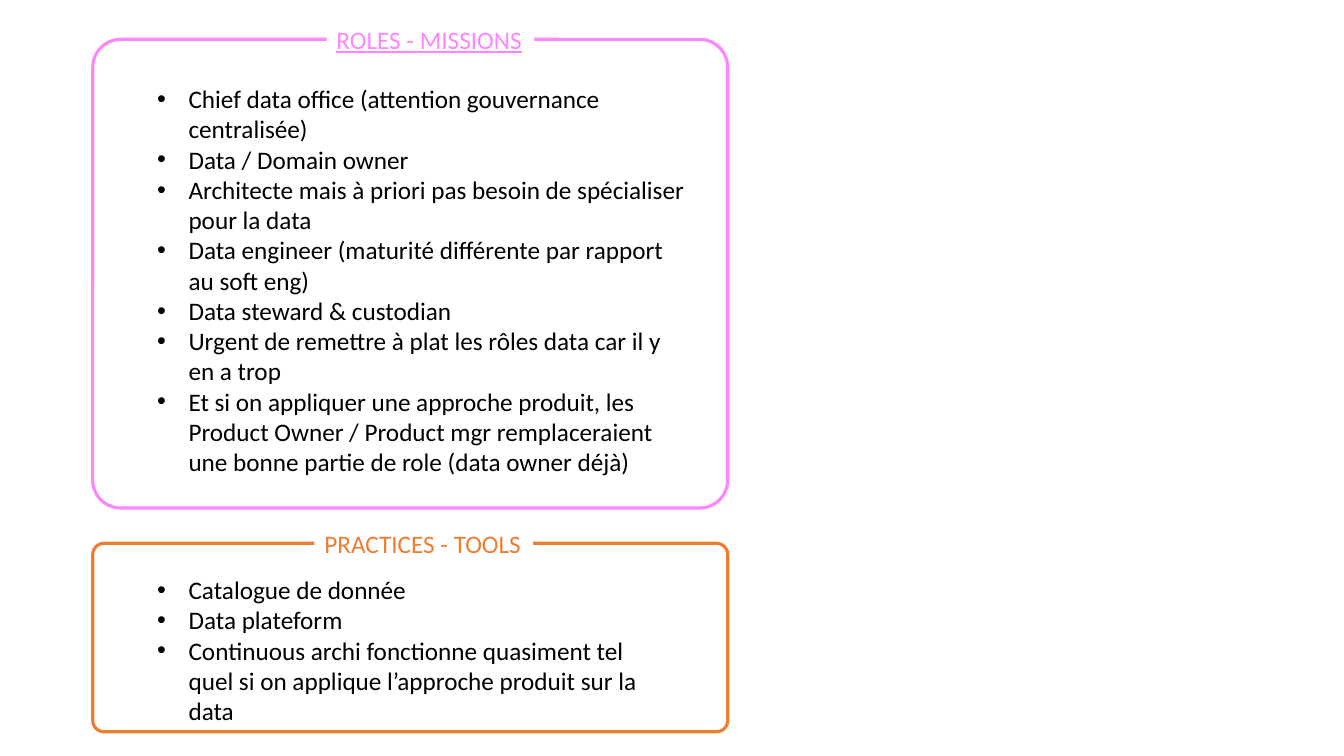
from dataclasses import dataclass
from typing import Any

import lxml.etree
import pptx
import pptx.dml.color
import pptx.enum.shapes
import pptx.enum.text
import pptx.oxml.ns
import pptx.util

Pt = pptx.util.Pt
Color = pptx.dml.color.RGBColor
Shapes = pptx.enum.shapes.MSO_SHAPE
Text = pptx.enum.text


@dataclass(frozen=True)
class Theme:
    font: str = "Calibri"
    size: float = 18
    line_width: float = 2.25
    text: str = "000000"
    paper: str = "FFFFFF"
    roles: str = "FF85FF"
    practices: str = "ED7D31"


@dataclass(frozen=True)
class Panel:
    title: str
    color: str
    underline: bool
    top: float
    height: float
    title_left: float
    title_width: float
    list_offset: float
    list_width: float
    list_height: float
    items: tuple[str, ...]


THEME = Theme()

# Shared geometry, in points
FRAME_LEFT, FRAME_WIDTH, CORNER = 66.24, 453.6, 0.06
TITLE_RISE, TITLE_HEIGHT = 14.4, 29.08
LIST_LEFT, BULLET_INDENT = 105.12, 22.5

PANELS = (
    Panel(
        "ROLES - MISSIONS", THEME.roles, True, 28.08, 334.8,
        233.28, 148.32, 28.08, 396, 312.48,
        (
            "Chief data office (attention gouvernance centralisée)",
            "Data / Domain owner",
            "Architecte mais à priori pas besoin de spécialiser pour la data",
            "Data engineer (maturité différente par rapport au soft eng)",
            "Data steward & custodian",
            "Urgent de remettre à plat les rôles data car il y en a trop",
            "Et si on appliquer une approche produit, les Product Owner / "
            "Product mgr remplaceraient une bonne partie de role "
            "(data owner déjà)",
        ),
    ),
    Panel(
        "PRACTICES - TOOLS", THEME.practices, False, 388.08, 134.64,
        224.64, 156.24, 18.72, 375.12, 116.64,
        (
            "Catalogue de donnée",
            "Data plateform",
            "Continuous archi fonctionne quasiment tel quel si on applique "
            "l’approche produit sur la data",
        ),
    ),
)


def apply_format(target: Any, values: dict[str, Any]) -> None:
    for name, value in values.items():
        setattr(target, name, value)


def write(para: Any, text: str, color: str, underline: bool = False) -> None:
    para.alignment = Text.PP_ALIGN.LEFT
    span = para.add_run()
    span.text = text
    values = {"name": THEME.font, "size": Pt(THEME.size)}
    if underline:
        values["underline"] = True
    apply_format(span.font, values)
    span.font.color.rgb = Color.from_string(color)


def add_bullet(para: Any) -> None:
    properties = para._p.get_or_add_pPr()
    properties.set("marL", str(Pt(BULLET_INDENT)))
    properties.set("indent", str(-Pt(BULLET_INDENT)))
    for tag, key, value in (("a:buFont", "typeface", "Arial"), ("a:buChar", "char", "•")):
        lxml.etree.SubElement(properties, pptx.oxml.ns.qn(tag)).set(key, value)


def draw_frame(page: Any, panel: Panel) -> None:
    frame = page.shapes.add_shape(
        Shapes.ROUNDED_RECTANGLE,
        Pt(FRAME_LEFT), Pt(panel.top), Pt(FRAME_WIDTH), Pt(panel.height),
    )
    frame.adjustments[0] = CORNER
    frame.shadow.inherit = False
    frame.fill.background()
    frame.line.color.rgb = Color.from_string(panel.color)
    frame.line.width = Pt(THEME.line_width)


def draw_title(page: Any, panel: Panel) -> None:
    box = page.shapes.add_shape(
        Shapes.RECTANGLE,
        Pt(panel.title_left), Pt(panel.top - TITLE_RISE),
        Pt(panel.title_width), Pt(TITLE_HEIGHT),
    )
    box.shadow.inherit = False
    box.fill.solid()
    box.fill.fore_color.rgb = Color.from_string(THEME.paper)
    box.line.fill.background()
    apply_format(box.text_frame, {
        "word_wrap": False,
        "auto_size": Text.MSO_AUTO_SIZE.SHAPE_TO_FIT_TEXT,
        "vertical_anchor": Text.MSO_ANCHOR.TOP,
    })
    write(box.text_frame.paragraphs[0], panel.title, panel.color, panel.underline)


def draw_list(page: Any, panel: Panel) -> None:
    box = page.shapes.add_textbox(
        Pt(LIST_LEFT), Pt(panel.top + panel.list_offset),
        Pt(panel.list_width), Pt(panel.list_height),
    )
    apply_format(box.text_frame, {
        "word_wrap": True,
        "auto_size": Text.MSO_AUTO_SIZE.SHAPE_TO_FIT_TEXT,
    })
    for index, item in enumerate(panel.items):
        para = box.text_frame.add_paragraph() if index else box.text_frame.paragraphs[0]
        write(para, item, THEME.text)
        add_bullet(para)


def main() -> None:
    deck = pptx.Presentation()
    apply_format(deck, {"slide_width": Pt(960), "slide_height": Pt(540)})
    page = deck.slides.add_slide(deck.slide_layouts[6])
    # Each panel: outline, title over its top edge, bullet list
    for panel in PANELS:
        draw_frame(page, panel)
        draw_title(page, panel)
        draw_list(page, panel)
    deck.save("out.pptx")


if __name__ == "__main__":
    main()
